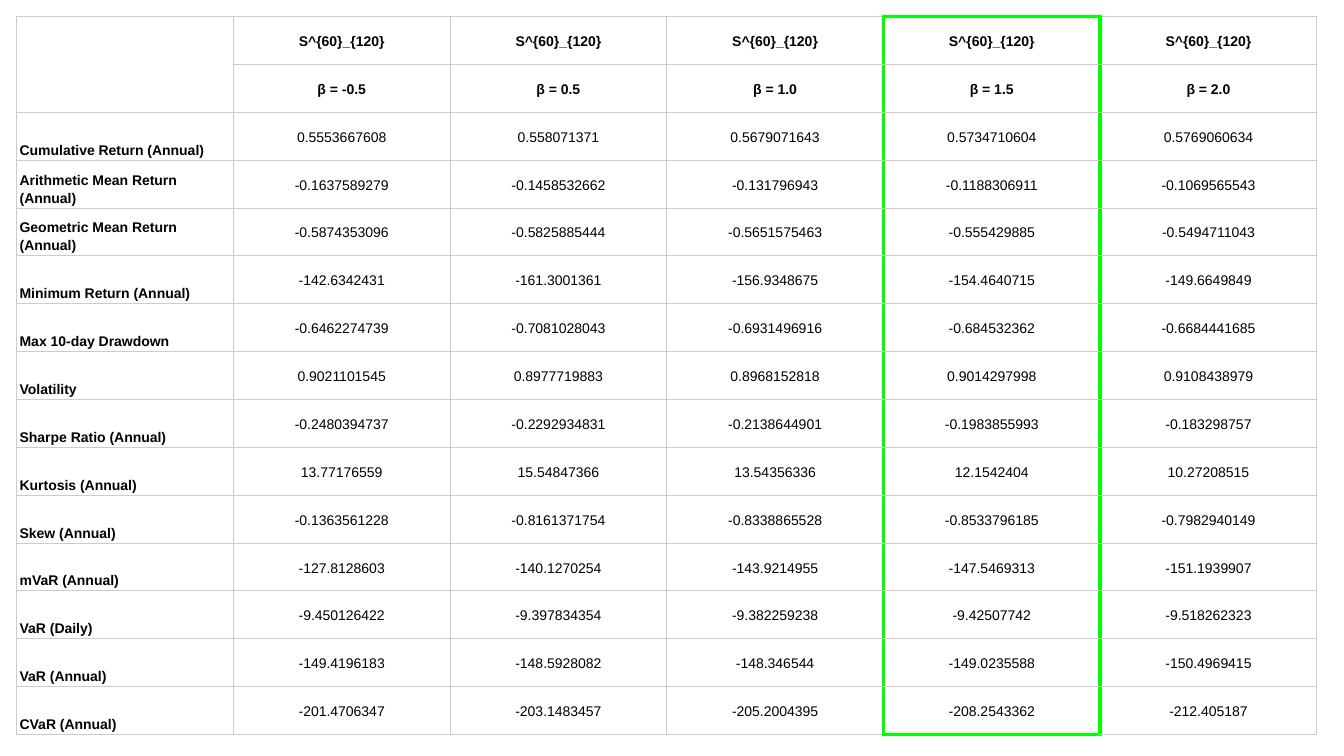
from dataclasses import dataclass

from lxml import etree
from pptx import Presentation
from pptx.dml.color import RGBColor
from pptx.enum.text import MSO_ANCHOR, PP_ALIGN
from pptx.oxml.ns import qn
from pptx.util import Emu, Pt

CENTER, LEFT = PP_ALIGN.CENTER, PP_ALIGN.LEFT
MIDDLE, BOTTOM = MSO_ANCHOR.MIDDLE, MSO_ANCHOR.BOTTOM

PX_PER_INCH = 200
SLIDE_W, SLIDE_H = 2667, 1500
TABLE_LEFT, TABLE_TOP = 33, 33
COL_W, ROW_H = 430, 95
INSET_X, INSET_Y = 6, 4
HEADER_ROWS = 2
HIGHLIGHT_COL = 4
FONT = "Arial"
BLACK = "000000"


@dataclass(frozen=True)
class Border:
    color: str
    width: float


@dataclass(frozen=True)
class Metric:
    label: str
    values: tuple[str, ...]


GRID = Border("CCCCCC", 0.75)
HIGHLIGHT = Border("00FF00", 3)

BETAS = ("-0.5", "0.5", "1.0", "1.5", "2.0")
ROWS = (
    Metric("", ("S^{60}_{120}",) * len(BETAS)),
    Metric("", tuple(f"β = {beta}" for beta in BETAS)),
    Metric("Cumulative Return (Annual)",
           ("0.5553667608", "0.558071371", "0.5679071643", "0.5734710604", "0.5769060634")),
    Metric("Arithmetic Mean Return (Annual)",
           ("-0.1637589279", "-0.1458532662", "-0.131796943", "-0.1188306911", "-0.1069565543")),
    Metric("Geometric Mean Return (Annual)",
           ("-0.5874353096", "-0.5825885444", "-0.5651575463", "-0.555429885", "-0.5494711043")),
    Metric("Minimum Return (Annual)",
           ("-142.6342431", "-161.3001361", "-156.9348675", "-154.4640715", "-149.6649849")),
    Metric("Max 10-day Drawdown",
           ("-0.6462274739", "-0.7081028043", "-0.6931496916", "-0.684532362", "-0.6684441685")),
    Metric("Volatility",
           ("0.9021101545", "0.8977719883", "0.8968152818", "0.9014297998", "0.9108438979")),
    Metric("Sharpe Ratio (Annual)",
           ("-0.2480394737", "-0.2292934831", "-0.2138644901", "-0.1983855993", "-0.183298757")),
    Metric("Kurtosis (Annual)",
           ("13.77176559", "15.54847366", "13.54356336", "12.1542404", "10.27208515")),
    Metric("Skew (Annual)",
           ("-0.1363561228", "-0.8161371754", "-0.8338865528", "-0.8533796185", "-0.7982940149")),
    Metric("mVaR (Annual)",
           ("-127.8128603", "-140.1270254", "-143.9214955", "-147.5469313", "-151.1939907")),
    Metric("VaR (Daily)",
           ("-9.450126422", "-9.397834354", "-9.382259238", "-9.42507742", "-9.518262323")),
    Metric("VaR (Annual)",
           ("-149.4196183", "-148.5928082", "-148.346544", "-149.0235588", "-150.4969415")),
    Metric("CVaR (Annual)",
           ("-201.4706347", "-203.1483457", "-205.2004395", "-208.2543362", "-212.405187")),
)


def px(n: int) -> Emu:
    return Emu(n * 914400 // PX_PER_INCH)


def rgb(color: str) -> RGBColor:
    return RGBColor.from_string(color)


def cell_borders(row: int, col: int) -> dict[str, Border]:
    inside = col == HIGHLIGHT_COL
    marked = {
        "a:lnL": col in (HIGHLIGHT_COL, HIGHLIGHT_COL + 1),
        "a:lnR": col in (HIGHLIGHT_COL - 1, HIGHLIGHT_COL),
        "a:lnT": inside and row == 0,
        "a:lnB": inside and row == len(ROWS) - 1,
    }
    return {side: HIGHLIGHT if on else GRID for side, on in marked.items()}


def draw_borders(cell, borders: dict[str, Border]) -> None:
    tcPr = cell._tc.get_or_add_tcPr()
    for side, border in borders.items():
        ln = etree.SubElement(tcPr, qn(side), w=str(Pt(border.width)))
        fill = etree.SubElement(ln, qn("a:solidFill"))
        etree.SubElement(fill, qn("a:srgbClr"), val=border.color)
        etree.SubElement(ln, qn("a:prstDash"), val="solid")


def fill_cell(cell, text: str, row: int, col: int) -> None:
    draw_borders(cell, cell_borders(row, col))
    cell.fill.background()
    cell.margin_left = cell.margin_right = px(INSET_X)
    cell.margin_top = cell.margin_bottom = px(INSET_Y)
    cell.vertical_anchor = MIDDLE if col else BOTTOM
    if not text:
        return
    cell.text_frame.text = text
    p = cell.text_frame.paragraphs[0]
    p.alignment = CENTER if col else LEFT
    p.line_spacing = 1.15
    font = p.runs[0].font
    font.name = FONT
    font.size = Pt(10)
    font.bold = col == 0 or row < HEADER_ROWS
    font.color.rgb = rgb(BLACK)


def add_metrics_table(s) -> None:
    n_rows, n_cols = len(ROWS), len(BETAS) + 1
    frame = s.shapes.add_table(n_rows, n_cols, px(TABLE_LEFT), px(TABLE_TOP),
                               px(COL_W * n_cols), px(ROW_H * n_rows))
    table = frame.table
    table.first_row = table.horz_banding = False
    for column in table.columns:
        column.width = px(COL_W)
    for row, metric in enumerate(ROWS):
        table.rows[row].height = px(ROW_H)
        for col, text in enumerate((metric.label, *metric.values)):
            fill_cell(table.cell(row, col), text, row, col)
    table.cell(0, 0).merge(table.cell(HEADER_ROWS - 1, 0))


def main() -> None:
    prs = Presentation()
    prs.slide_width, prs.slide_height = px(SLIDE_W), px(SLIDE_H)
    s = prs.slides.add_slide(prs.slide_layouts[6])
    add_metrics_table(s)
    prs.save("out.pptx")


if __name__ == "__main__":
    main()
